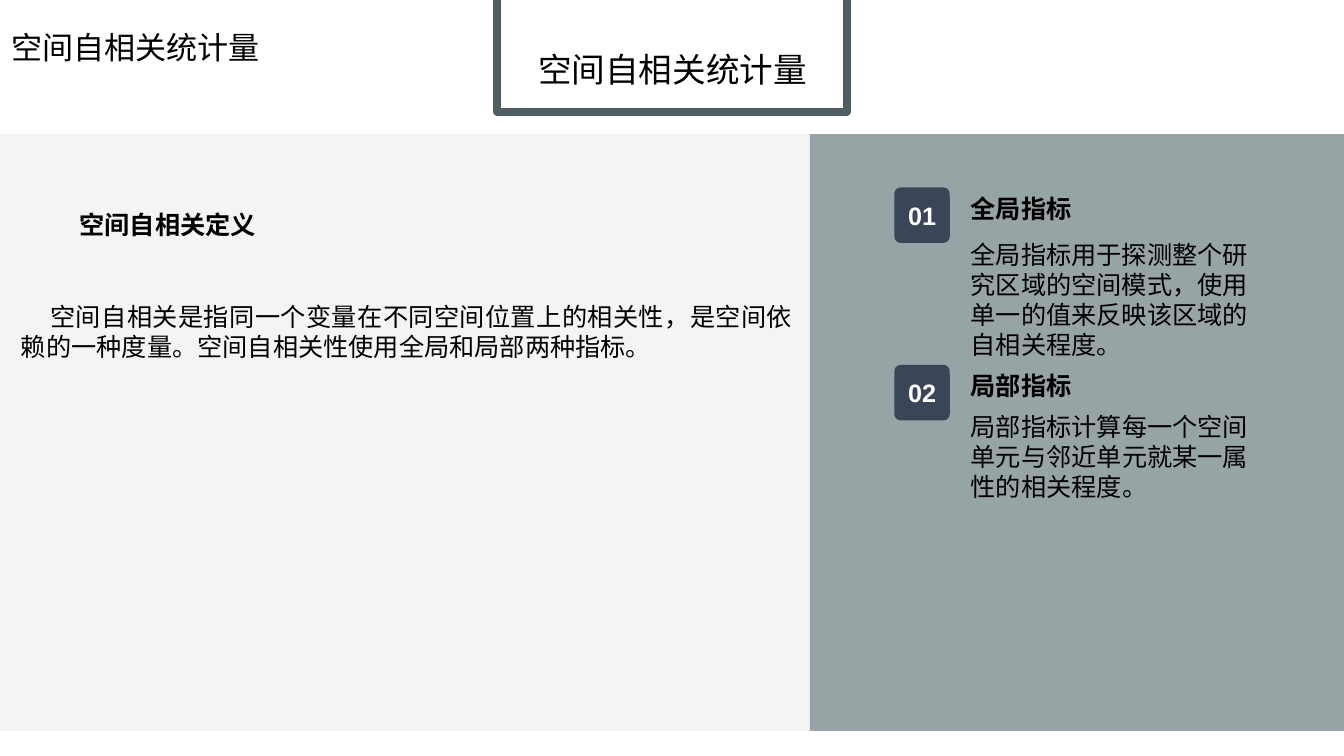
from lxml import etree
from pptx import Presentation
from pptx.dml.color import RGBColor
from pptx.enum.shapes import MSO_SHAPE
from pptx.enum.text import MSO_ANCHOR, MSO_AUTO_SIZE, PP_ALIGN
from pptx.oxml.ns import qn
from pptx.util import Inches, Pt

RECT, ROUNDED = MSO_SHAPE.RECTANGLE, MSO_SHAPE.ROUNDED_RECTANGLE
LEFT, CENTER, JUSTIFY = PP_ALIGN.LEFT, PP_ALIGN.CENTER, PP_ALIGN.JUSTIFY
TOP, MIDDLE, BOTTOM = MSO_ANCHOR.TOP, MSO_ANCHOR.MIDDLE, MSO_ANCHOR.BOTTOM
NO_FIT, GROW = MSO_AUTO_SIZE.NONE, MSO_AUTO_SIZE.SHAPE_TO_FIT_TEXT

COLORS = {"white": "FFFFFF", "frame": "4F5E60", "sage": "97A4A5",
          "pale": "F4F4F4", "badge": "3A4557", "ink": "000000"}
CJK, BODY, NUMERAL = "Noto Sans CJK SC", "Calibri", "Arial"
HEADING = "空间自相关统计量"
INDICATORS = [
    ("01", "全局指标", "全局指标用于探测整个研究区域的空间模式，使用单一的值来反映该区域的自相关程度。",
     (8.87, 1.86, 3.7, 1.77), 0.01, 0.46),
    ("02", "局部指标", "局部指标计算每一个空间单元与邻近单元就某一属性的相关程度。",
     (8.87, 3.62, 3.84, 1.42), 0, 0.41),
]


def color(name):
    """Return the named palette colour."""
    return RGBColor.from_string(COLORS[name])


def write(shape, text, size=18, font=CJK, ink="ink", bold=False, align=LEFT,
          anchor=TOP, wrap=True, fit=GROW):
    """Put one formatted run into a shape and return its paragraph."""
    frame = shape.text_frame
    frame.word_wrap = wrap
    frame.auto_size = fit
    frame.vertical_anchor = anchor
    paragraph = frame.paragraphs[0]
    paragraph.alignment = align
    run = paragraph.add_run()
    run.text = text
    run.font.size = Pt(size)
    run.font.bold = bold
    run.font.color.rgb = color(ink)
    run.font.name = font
    east_asian = etree.SubElement(run.font._element, qn("a:ea"))
    east_asian.set("typeface", CJK)
    return paragraph


def add_block(slide, kind, box, fill):
    """Add a flat filled shape without outline or shadow."""
    block = slide.shapes.add_shape(kind, *map(Inches, box))
    block.shadow.inherit = False
    block.fill.solid()
    block.fill.fore_color.rgb = color(fill)
    block.line.fill.background()
    return block


def add_text(slide, box, text, **style):
    """Add a text box and return its paragraph."""
    return write(slide.shapes.add_textbox(*map(Inches, box)), text, **style)


def add_header(slide, box):
    """Place the framed title and the corner heading."""
    left, top, width, height = box
    frame = add_block(slide, RECT, box, "white")
    frame.line.color.rgb = color("frame")
    frame.line.width = Pt(5.5)
    title = slide.shapes.title
    frame._element.addnext(title._element)
    title.left, title.top = Inches(left + 0.13), Inches(top + 0.85)
    title.width, title.height = Inches(3.22), Inches(0.69)
    style = {"align": CENTER, "anchor": BOTTOM, "fit": NO_FIT}
    write(title, HEADING, size=24, **style).line_spacing = 0.9
    corner = add_text(slide, (0, 0.02, 2.69, 0.69), HEADING, size=22.2, **style)
    corner.line_spacing = 0.9


def add_definition(slide, box):
    """Fill the pale panel with the definition."""
    left, top, width, height = box
    add_block(slide, RECT, box, "pale")
    add_text(slide, (left + 0.69, top + 0.7, 1.97, 0.4), "空间自相关定义",
             font=BODY, bold=True, wrap=False)
    definition = add_text(
        slide, (left + 0.11, top + 1.61, width - 0.18, 0.71),
        "空间自相关是指同一个变量在不同空间位置上的相关性，是空间依赖的一种度量。"
        "空间自相关性使用全局和局部两种指标。", font=BODY, align=JUSTIFY)
    properties = definition._p.get_or_add_pPr()
    properties.set("marL", "0")
    properties.set("indent", str(Inches(0.29)))


def add_indicator(slide, number, name, detail, box, name_drop, detail_drop):
    """Place a numbered badge beside its name and explanation."""
    left, top, width, height = box
    badge = add_block(slide, ROUNDED, (left, top, 0.55, 0.55), "badge")
    badge.adjustments[0] = 0.112
    write(badge, number, font=NUMERAL, ink="white", bold=True, align=CENTER,
          anchor=MIDDLE, wrap=False, fit=NO_FIT)
    text_left = left + 0.66
    add_text(slide, (text_left, top + name_drop, 2.13, 0.4), name, bold=True)
    add_text(slide, (text_left, top + detail_drop, width - 0.66, height - detail_drop),
             detail)


def main():
    """Build and save the slide."""
    deck = Presentation()
    deck.slide_width, deck.slide_height = Inches(13.33), Inches(7.5)
    slide = deck.slides.add_slide(deck.slide_layouts[5])
    add_header(slide, (4.93, -0.6, 3.47, 1.71))
    add_block(slide, RECT, (8.03, 1.33, 5.66, 5.92), "sage")
    add_definition(slide, (0, 1.33, 8.03, 5.92))
    for indicator in INDICATORS:
        add_indicator(slide, *indicator)
    deck.save("out.pptx")


if __name__ == "__main__":
    main()
